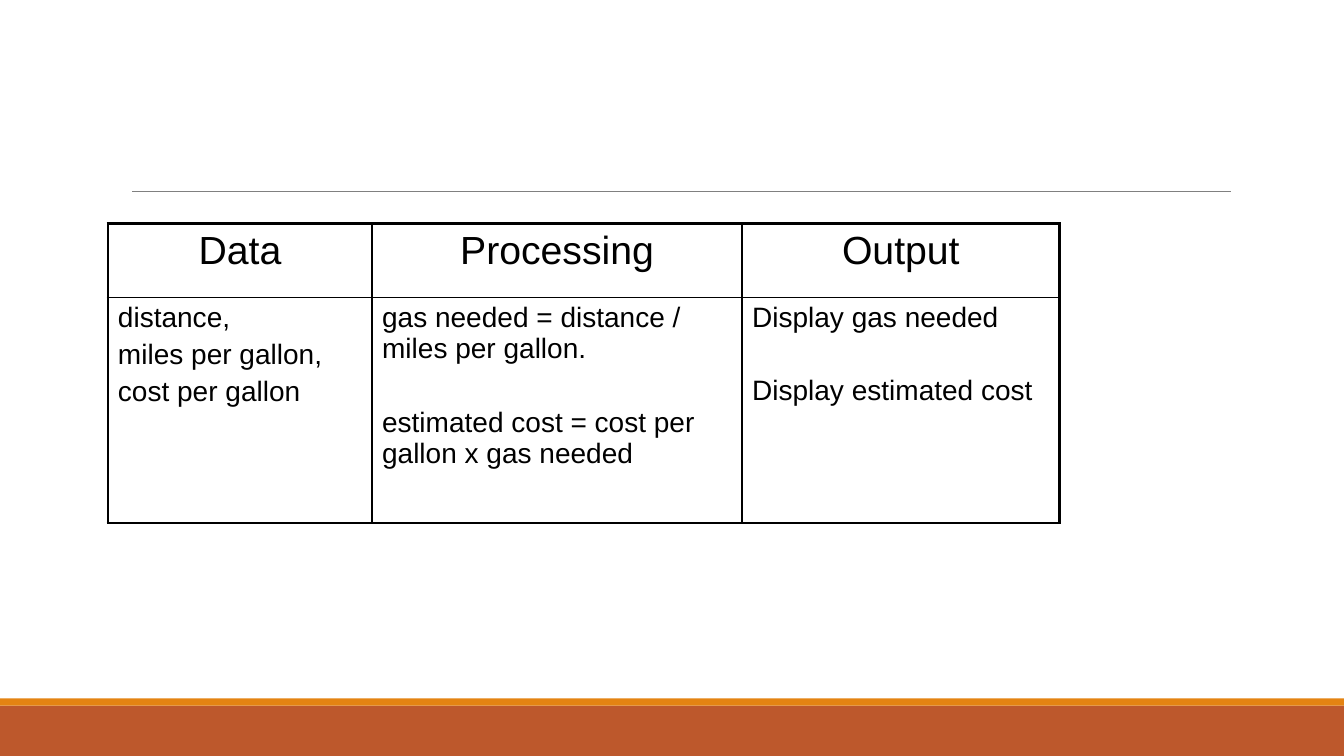
from lxml import etree
from pptx import Presentation
from pptx import util as u
from pptx.dml.color import RGBColor
from pptx.enum import shapes, text
from pptx.oxml.ns import qn

COLORS = {"rust": "BD582C", "orange": "E48312", "gray": "808080", "black": "000000"}
SLIDE_W, SLIDE_H = 13.33, 7.5
BANDS = [("rust", 7, 0.5), ("orange", 6.93, 0.07)]
RULE = (1.31, 1.9, 12.21, 1.9)
TABLE_LEFT, TABLE_TOP = 1.07, 2.22
COL_WIDTHS = [2.62, 3.67, 3.15]
ROW_HEIGHTS = [0.73, 2.24]
ROWS = [
    [["Data"], ["Processing"], ["Output"]],
    [
        ["distance,", "miles per gallon,", "cost per gallon"],
        ["gas needed = distance / miles per gallon.",
         "estimated cost = cost per gallon x gas needed"],
        ["Display gas needed", "Display estimated cost"],
    ],
]
GAPS = [4, 30, 30]
ROW_STYLES = [
    {"size": u.Pt(28), "name": "Arial", "bold": False},
    {"size": u.Pt(20), "name": "Arial", "bold": False},
]
ROW_ALIGNS = [text.PP_ALIGN.CENTER, text.PP_ALIGN.LEFT]
OUTER_PT, INNER_PT = 2.25, 1


def rgb(name):
    return RGBColor.from_string(COLORS[name])


def add_band(s, color, top, height):
    sp = s.shapes.add_shape(shapes.MSO_SHAPE.RECTANGLE, u.Inches(0), u.Inches(top),
                            u.Inches(SLIDE_W), u.Inches(height))
    sp.shadow.inherit = False
    sp.fill.solid()
    sp.fill.fore_color.rgb = rgb(color)
    sp.line.fill.background()


def add_rule(s):
    line = s.shapes.add_connector(shapes.MSO_CONNECTOR.STRAIGHT, *map(u.Inches, RULE))
    line.line.color.rgb = rgb("gray")
    line.line.width = u.Pt(0.5)
    etree.SubElement(line._element.spPr, qn("a:effectLst"))


def set_borders(cell, outer_sides):
    tc_pr = cell._tc.get_or_add_tcPr()
    for side, is_outer in outer_sides.items():
        width = u.Pt(OUTER_PT if is_outer else INNER_PT)
        ln = etree.SubElement(tc_pr, qn("a:ln" + side), w=str(int(width)))
        fill = etree.SubElement(ln, qn("a:solidFill"))
        etree.SubElement(fill, qn("a:srgbClr"), val=COLORS["black"])


def write_cell(cell, lines, gap, style, align):
    tf = cell.text_frame
    for i, line in enumerate(lines):
        p = tf.add_paragraph() if i else tf.paragraphs[0]
        p.alignment = align
        if i:
            p.space_before = u.Pt(gap)
        r = p.add_run()
        r.text = line
        r.font.color.rgb = rgb("black")
        for key, value in style.items():
            setattr(r.font, key, value)


def add_table(s):
    n_rows, n_cols = len(ROWS), len(COL_WIDTHS)
    table = s.shapes.add_table(n_rows, n_cols, u.Inches(TABLE_LEFT), u.Inches(TABLE_TOP),
                               u.Inches(sum(COL_WIDTHS)), u.Inches(sum(ROW_HEIGHTS))).table
    table.first_row = table.horz_banding = False
    for col, width in zip(table.columns, COL_WIDTHS):
        col.width = u.Inches(width)
    for i, row in enumerate(ROWS):
        table.rows[i].height = u.Inches(ROW_HEIGHTS[i])
        for j, lines in enumerate(row):
            cell = table.cell(i, j)
            set_borders(cell, {"L": j == 0, "R": j == n_cols - 1,
                               "T": i == 0, "B": i == n_rows - 1})
            cell.fill.background()
            write_cell(cell, lines, GAPS[j], ROW_STYLES[i], ROW_ALIGNS[i])


def main():
    prs = Presentation()
    prs.slide_width, prs.slide_height = u.Inches(SLIDE_W), u.Inches(SLIDE_H)
    s = prs.slides.add_slide(prs.slide_layouts[6])
    for band in BANDS:
        add_band(s, *band)
    add_rule(s)
    add_table(s)
    prs.save("out.pptx")


if __name__ == "__main__":
    main()
